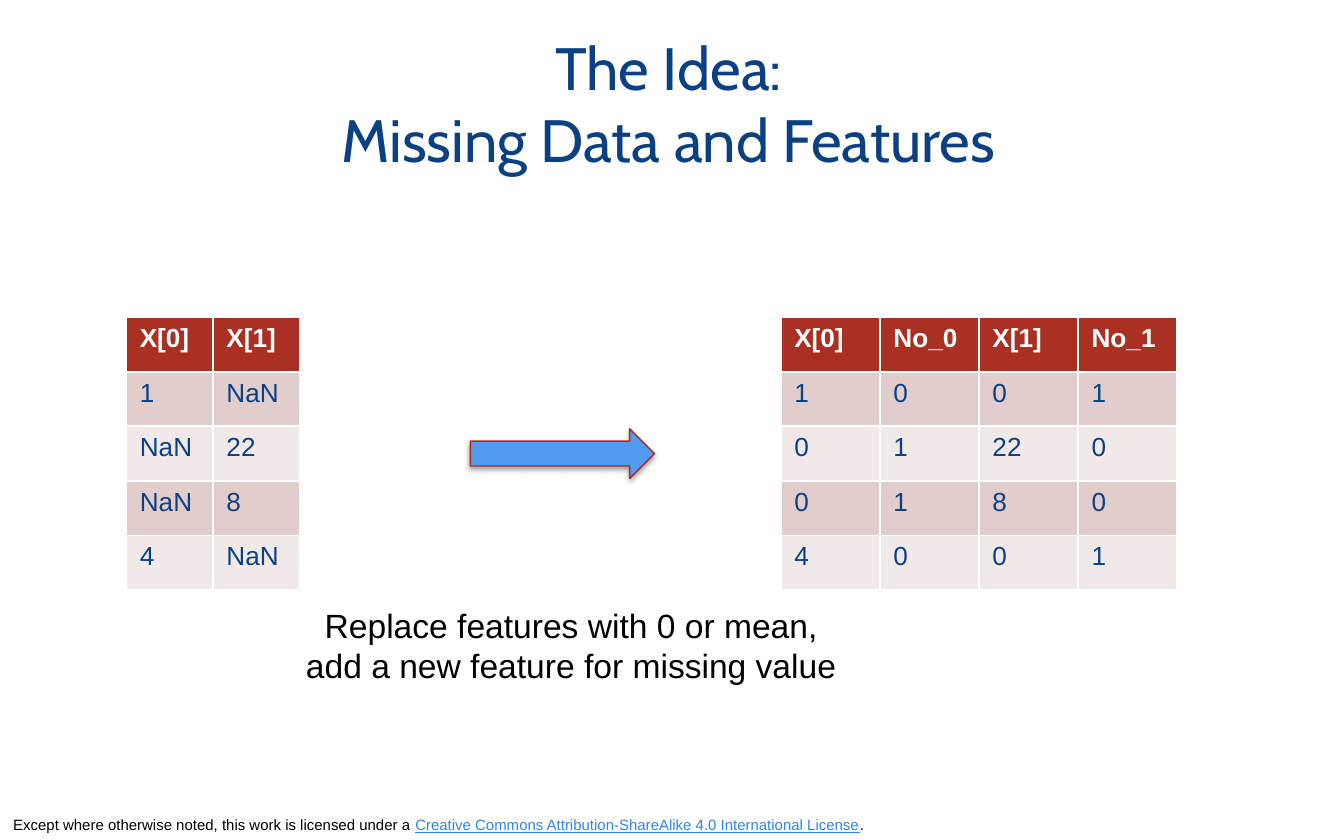
from copy import deepcopy
from dataclasses import dataclass

from lxml import etree
from pptx import Presentation
from pptx import util as u
from pptx.dml.color import RGBColor
from pptx.enum import shapes, text
from pptx.oxml import ns

NAVY, BLACK, WHITE = "0B4183", "000000", "FFFFFF"
HEAD, BANDS = "A93023", ("E2CDCD", "F1E8E8")
ROW_H = 0.406


@dataclass
class Grid:
    left: float
    top: float
    width: float
    rows: list[list[str]]


GRIDS = [
    Grid(0.94, 2.36, 1.29, [
        ["X[0]", "X[1]"],
        ["1", "NaN"],
        ["NaN", "22"],
        ["NaN", "8"],
        ["4", "NaN"],
    ]),
    Grid(5.81, 2.36, 2.95, [
        ["X[0]", "No_0", "X[1]", "No_1"],
        ["1", "0", "0", "1"],
        ["0", "1", "22", "0"],
        ["0", "1", "8", "0"],
        ["4", "0", "0", "1"],
    ]),
]


def paint(color, code: str) -> None:
    color.rgb = RGBColor.from_string(code)


def style(run, size: float, code: str, name: str = "Arial") -> None:
    run.font.size = u.Pt(size)
    run.font.name = name
    paint(run.font.color, code)


def box(left: float, top: float, width: float, height: float) -> list:
    return [u.Inches(n) for n in (left, top, width, height)]


def add_title(slide, words: str) -> None:
    title = slide.shapes.title
    title.left, title.top, title.width, title.height = box(0.51, 0.17, 8.93, 1.19)
    frame = title.text_frame
    frame.text = words
    frame.auto_size = text.MSO_AUTO_SIZE.NONE
    frame.vertical_anchor = text.MSO_ANCHOR.MIDDLE
    para = frame.paragraphs[0]
    para.alignment = text.PP_ALIGN.CENTER
    for run in para.runs:
        style(run, 32, NAVY, "Cabin")
    # The line break needs the same size as the text around it
    for gap in para._p.findall(ns.qn("a:br")):
        gap.insert(0, deepcopy(para.runs[0]._r.rPr))


def add_grid(slide, grid: Grid) -> None:
    count, cols = len(grid.rows), len(grid.rows[0])
    place = box(grid.left, grid.top, grid.width, count * ROW_H)
    table = slide.shapes.add_table(count, cols, *place).table
    for i, row in enumerate(grid.rows):
        fill = BANDS[(i - 1) % 2] if i else HEAD
        for j, word in enumerate(row):
            cell = table.cell(i, j)
            cell.text = word
            cell.fill.solid()
            paint(cell.fill.fore_color, fill)
            run = cell.text_frame.paragraphs[0].runs[0]
            style(run, 14, NAVY if i else WHITE)
            run.font.bold = i == 0


def add_arrow(slide) -> None:
    arrow = slide.shapes.add_shape(
        shapes.MSO_SHAPE.RIGHT_ARROW, *box(3.5, 3.19, 1.37, 0.37))
    arrow.fill.solid()
    paint(arrow.fill.fore_color, "529AEF")
    paint(arrow.line.color, "A92C1F")
    arrow.line.width = u.Pt(0.75)
    arrow.shadow.inherit = False
    effects = arrow._element.spPr.find(ns.qn("a:effectLst"))
    shade = etree.SubElement(
        effects, ns.qn("a:outerShdw"), blurRad=str(u.Pt(3.1)),
        dist=str(u.Pt(1.6)), dir="5400000", rotWithShape="0")
    tint = etree.SubElement(shade, ns.qn("a:srgbClr"), val=BLACK)
    etree.SubElement(tint, ns.qn("a:alpha"), val="38000")


def add_note(slide) -> None:
    frame = slide.shapes.add_textbox(*box(2.16, 4.45, 4.18, 0.71)).text_frame
    frame.word_wrap = False
    frame.auto_size = text.MSO_AUTO_SIZE.SHAPE_TO_FIT_TEXT
    frame.text = "Replace features with 0 or mean,\nadd a new feature for missing value"
    for para in frame.paragraphs:
        para.alignment = text.PP_ALIGN.CENTER
        style(para.runs[0], 18, BLACK)


def add_license(slide) -> None:
    frame = slide.shapes.add_textbox(*box(0, 6.02, 7.5, 0.23)).text_frame
    frame.word_wrap = True
    frame.vertical_anchor = text.MSO_ANCHOR.BOTTOM
    parts = [
        ("Except where otherwise noted, this work is licensed under a ", BLACK),
        ("Creative Commons Attribution-ShareAlike 4.0 International License", "3085ED"),
        (".", BLACK),
    ]
    for words, code in parts:
        run = frame.paragraphs[0].add_run()
        run.text = words
        style(run, 8, code)
        run.font.underline = code != BLACK


def main() -> None:
    deck = Presentation()
    deck.slide_width, deck.slide_height = u.Inches(10), u.Inches(6.25)
    slide = deck.slides.add_slide(deck.slide_layouts[5])
    add_license(slide)
    add_title(slide, "The Idea:\vMissing Data and Features")
    for grid in GRIDS:
        add_grid(slide, grid)
    add_arrow(slide)
    add_note(slide)
    deck.save("out.pptx")


if __name__ == "__main__":
    main()
